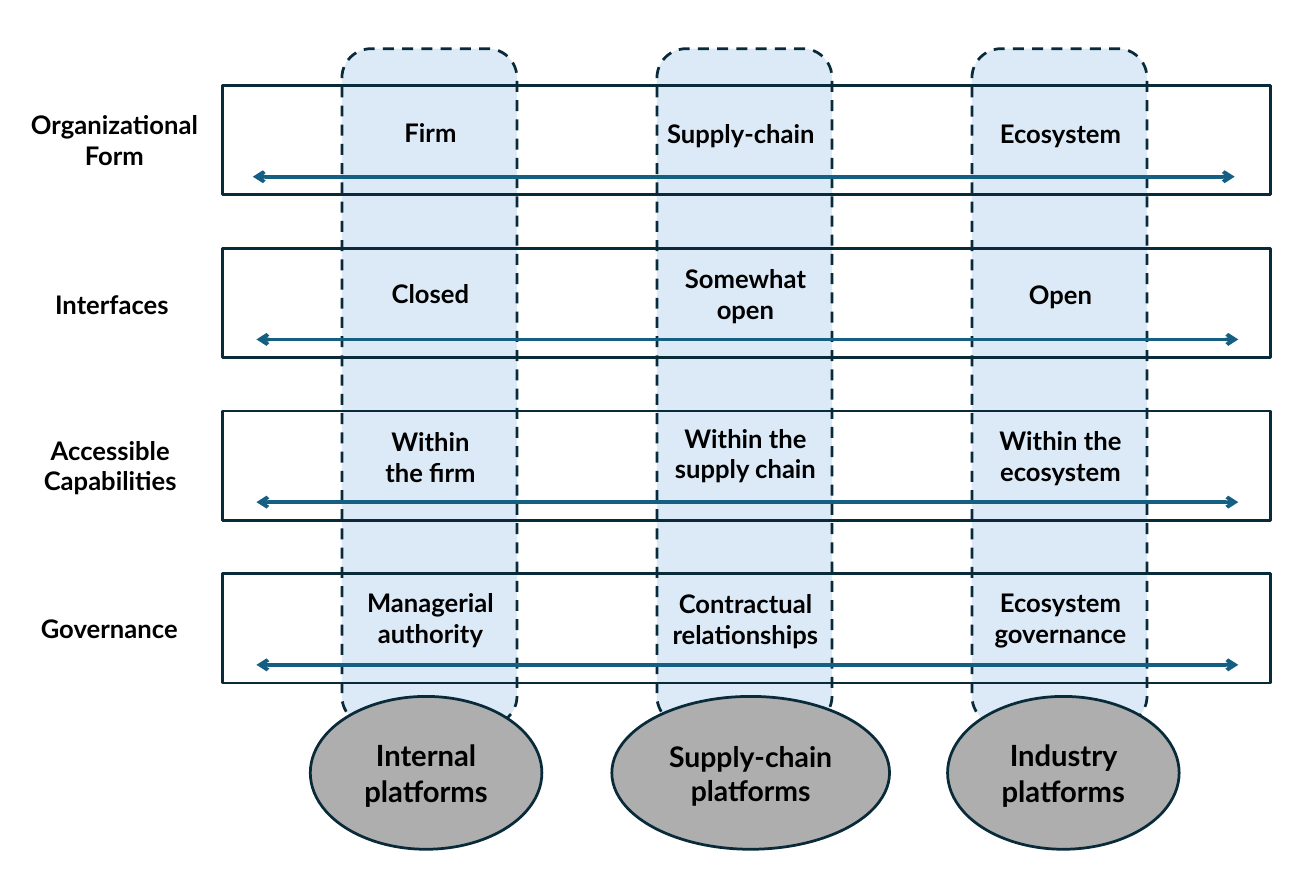
"""Build a matrix of platform types against their organizational dimensions."""
from typing import NamedTuple

from lxml import etree
from pptx import Presentation
from pptx.dml.color import RGBColor
from pptx.enum import dml, shapes, text
from pptx.oxml import ns
from pptx.util import Cm, Pt

COLORS = {"navy": "092A39", "teal": "156082", "pale": "DCEAF7", "gray": "AEAEAE", "black": "000000"}
FONT = "Lato"
COLUMN_LEFT, COLUMN_PITCH, COLUMN_TOP, COLUMN_WIDTH, COLUMN_HEIGHT = 6.6, 6.08, 0.94, 3.38, 13.06
ROW_LEFT, ROW_TOP, ROW_PITCH, ROW_WIDTH, ROW_HEIGHT = 4.29, 1.65, 3.14, 20.24, 2.11
ARROW_DROP, ARROW_LENGTH = 1.76, 18.95
LABEL_WIDTH = 4.32
PLATFORM_TOP, PLATFORM_HEIGHT = 13.44, 2.95
LINE_HEIGHTS = {1: 0.86, 2: 1.45}


class Cell(NamedTuple):
    """Text of one matrix cell, with its top and width in centimetres."""
    words: str
    top: float
    width: float
    lines: int = 2
    align: text.PP_ALIGN = text.PP_ALIGN.CENTER


class Dimension(NamedTuple):
    """One row of the matrix; lengths are in centimetres."""
    name: str
    label_left: float
    label_top: float
    label_lines: int
    arrow_left: float
    cells: tuple[Cell, ...]


class Platform(NamedTuple):
    """One ellipse at the foot of a column."""
    name: str
    left: float
    width: float
    size: float


DIMENSIONS = (
    Dimension("Organizational Form", 0.05, 1.98, 2, 4.88, (
        Cell("Firm", 2.13, 1.56, 1),
        Cell("Supply-chain", 2.16, 3.53, 1, text.PP_ALIGN.LEFT),
        Cell("Ecosystem", 2.16, 3.12, 1))),
    Dimension("Interfaces", 0, 5.46, 1, 4.95, (
        Cell("Closed", 5.23, 2.2, 1),
        Cell("Somewhat open", 4.95, 3.05),
        Cell("Open", 5.25, 1.8, 1))),
    Dimension("Accessible Capabilities", -0.03, 8.26, 2, 4.95, (
        Cell("Within the firm", 8.1, 2.29),
        Cell("Within the supply chain", 8.03, 3.38),
        Cell("Within the ecosystem", 8.08, 3.38))),
    Dimension("Governance", -0.05, 11.7, 1, 4.95, (
        Cell("Managerial authority", 11.2, 3.02),
        Cell("Contractual relationships", 11.23, 3.53),
        Cell("Ecosystem governance", 11.2, 3.38))),
)
PLATFORMS = (
    Platform("Internal platforms", 5.99, 4.47, 16),
    Platform("Supply-chain platforms", 11.81, 5.36, 15.5),
    Platform("Industry platforms", 18.29, 4.47, 16),
)


def color(name: str) -> RGBColor:
    """Return a palette colour."""
    return RGBColor.from_string(COLORS[name])


def write(frame, words: str, size: float, align=text.PP_ALIGN.CENTER) -> None:
    """Write one bold wrapped paragraph."""
    frame.word_wrap = True
    para = frame.paragraphs[0]
    para.text = words
    para.alignment = align
    para.font.name, para.font.size, para.font.bold = FONT, Pt(size), True
    para.font.color.rgb = color("black")


def add_outline(slide, kind, left: float, top: float, width: float, height: float, fill: str = ""):
    """Add a navy-edged shape, unfilled unless a fill is named."""
    shape = slide.shapes.add_shape(kind, Cm(left), Cm(top), Cm(width), Cm(height))
    shape.shadow.inherit = False
    if fill:
        shape.fill.solid()
        shape.fill.fore_color.rgb = color(fill)
    else:
        shape.fill.background()
    shape.line.color.rgb, shape.line.width = color("navy"), Pt(1.5)
    return shape


def add_text(slide, words: str, left: float, top: float, width: float, lines: int,
             align=text.PP_ALIGN.CENTER) -> None:
    """Add a text box tall enough for its lines."""
    box = slide.shapes.add_textbox(Cm(left), Cm(top), Cm(width), Cm(LINE_HEIGHTS[lines]))
    box.text_frame.auto_size = text.MSO_AUTO_SIZE.SHAPE_TO_FIT_TEXT
    write(box.text_frame, words, 14, align)


def add_arrow(slide, left: float, top: float) -> None:
    """Add a horizontal double-headed arrow."""
    arrow = slide.shapes.add_connector(
        shapes.MSO_CONNECTOR.STRAIGHT, Cm(left), Cm(top), Cm(left + ARROW_LENGTH), Cm(top))
    arrow.line.color.rgb, arrow.line.width = color("teal"), Pt(2)
    for end in ("a:headEnd", "a:tailEnd"):
        etree.SubElement(arrow.line._get_or_add_ln(), ns.qn(end), type="arrow")
    etree.SubElement(arrow.element.spPr, ns.qn("a:effectLst"))


def main() -> None:
    """Draw the slide and save it."""
    deck = Presentation()
    deck.slide_width, deck.slide_height = Cm(25.4), Cm(17.04)
    slide = deck.slides.add_slide(deck.slide_layouts[6])
    column_lefts = [COLUMN_LEFT + COLUMN_PITCH * index for index in range(len(PLATFORMS))]
    row_tops = [ROW_TOP + ROW_PITCH * index for index in range(len(DIMENSIONS))]

    for left in column_lefts:
        column = add_outline(slide, shapes.MSO_SHAPE.ROUNDED_RECTANGLE, left, COLUMN_TOP,
                             COLUMN_WIDTH, COLUMN_HEIGHT, "pale")
        column.line.dash_style = dml.MSO_LINE.DASH
    for top in row_tops:
        add_outline(slide, shapes.MSO_SHAPE.RECTANGLE, ROW_LEFT, top, ROW_WIDTH, ROW_HEIGHT)
    for top, row in zip(row_tops, DIMENSIONS):
        add_arrow(slide, row.arrow_left, top + ARROW_DROP)
        for left, cell in zip(column_lefts, row.cells):
            cell_left = left + (COLUMN_WIDTH - cell.width) / 2 + 0.02
            add_text(slide, cell.words, cell_left, cell.top, cell.width, cell.lines, cell.align)
        add_text(slide, row.name, row.label_left, row.label_top, LABEL_WIDTH, row.label_lines)
    for platform in PLATFORMS:
        ellipse = add_outline(slide, shapes.MSO_SHAPE.OVAL, platform.left, PLATFORM_TOP,
                              platform.width, PLATFORM_HEIGHT, "gray")
        ellipse.text_frame.vertical_anchor = text.MSO_ANCHOR.MIDDLE
        write(ellipse.text_frame, platform.name, platform.size)
    deck.save("out.pptx")


if __name__ == "__main__":
    main()
